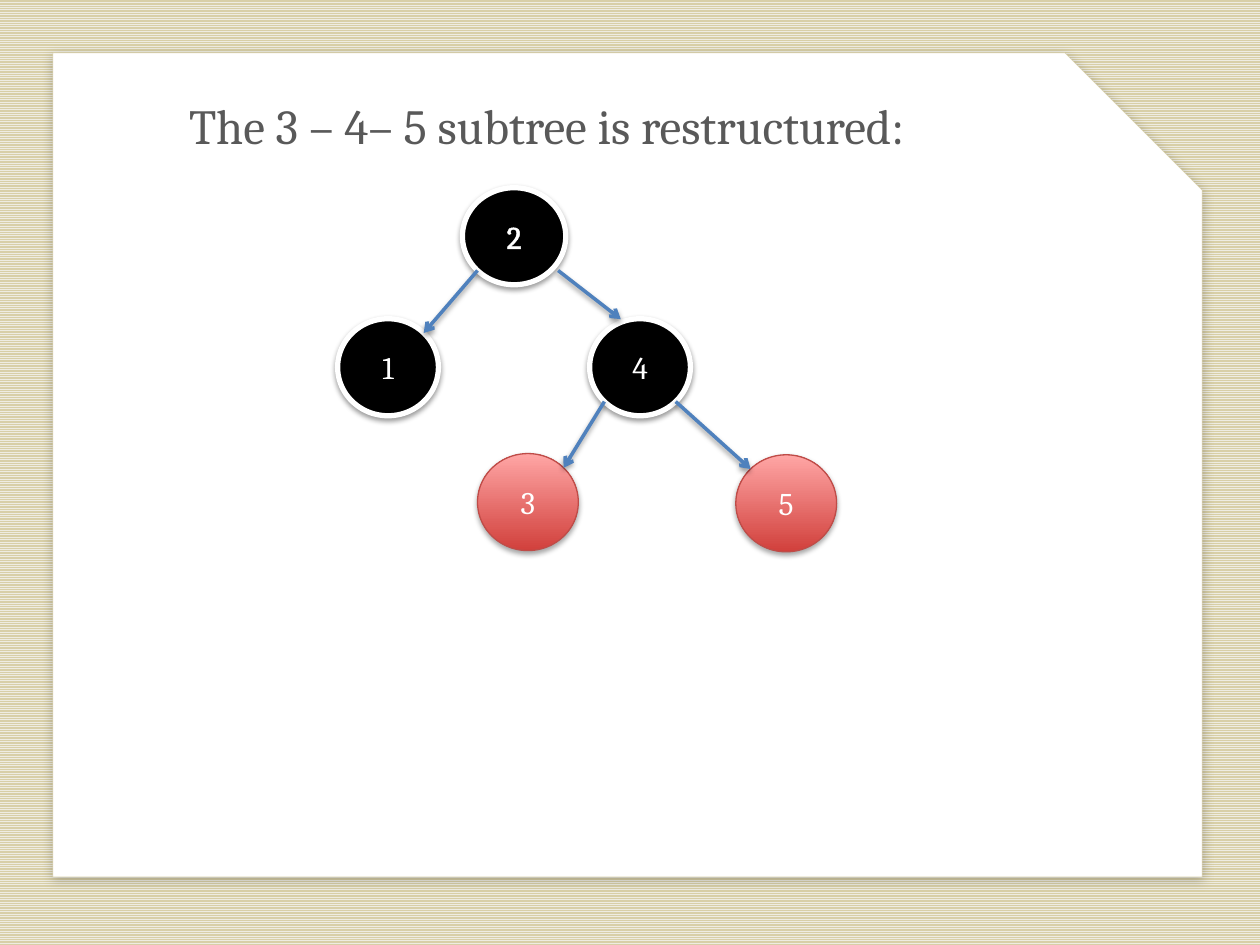
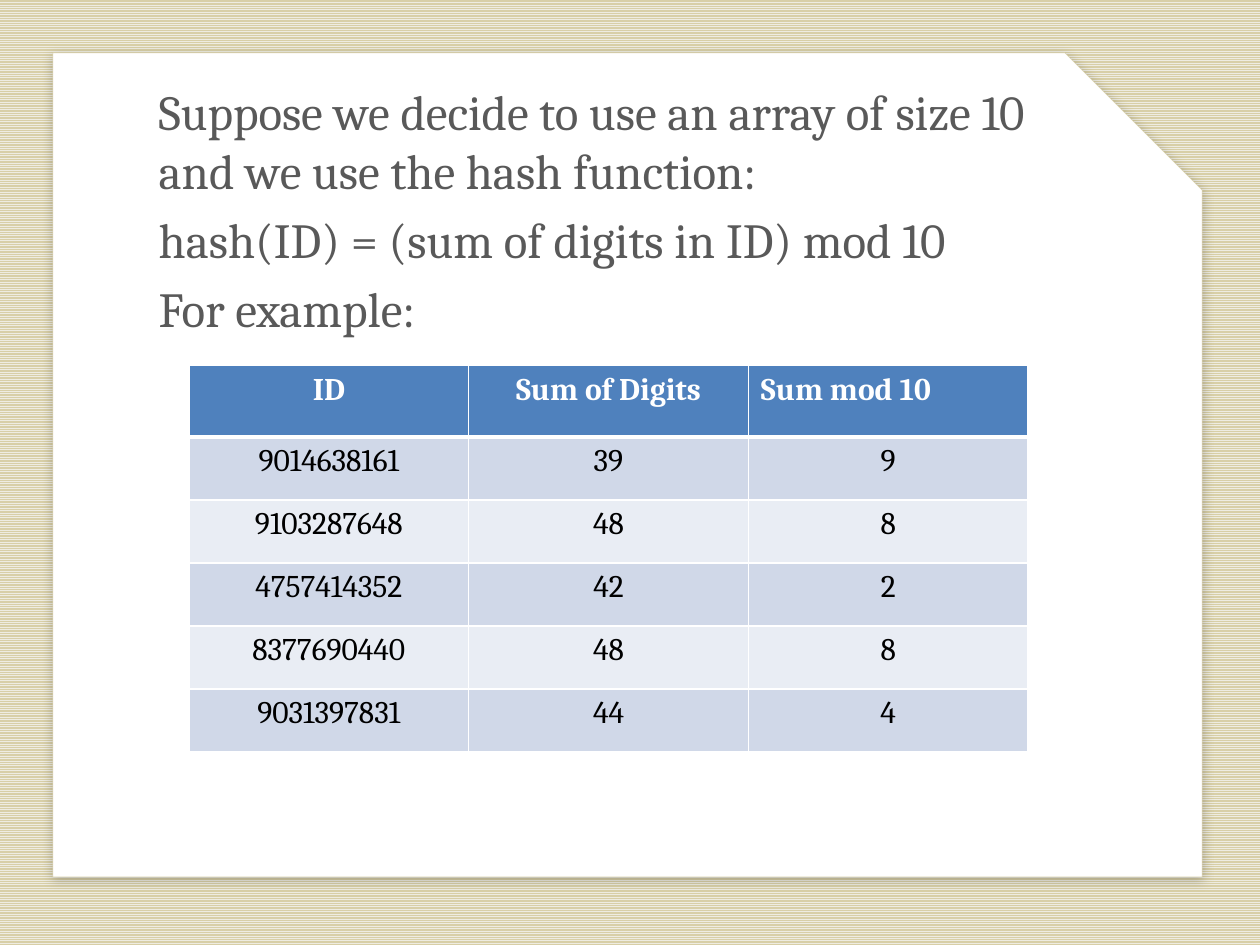
from lxml import etree
from pptx import Presentation
from pptx.dml.color import RGBColor
from pptx.enum.dml import MSO_PATTERN
from pptx.enum.shapes import MSO_CONNECTOR, MSO_SHAPE
from pptx.enum.text import MSO_ANCHOR, MSO_AUTO_SIZE, PP_ALIGN
from pptx.oxml import parse_xml
from pptx.oxml.ns import nsdecls, qn
from pptx.util import Inches, Pt

FONT = "Cambria"
COLORS = {
    "stripe": "EEECE1", "sand": "D8CFA7", "white": "FFFFFF", "black": "000000",
    "text": "595959", "blue": "4F81BD", "red_dark": "D1403C", "red_light": "FFA6A5",
    "red_line": "BF4C48", "band_dark": "D0D8E8", "band_light": "E9EDF4",
}
CARD = (0.42, 0.42, 9.12, 6.54)
CARD_SHADOW = (22, 6, 2, 80)
BLACK_SHADOW = (38, 3.1, 1.6, 90)
RED_SHADOW = (35, 3.1, 1.8, 90)

TREE_LEAD = ["The 3 – 4– 5 subtree is restructured:"]
NODES = {
    "1": (2.68, 2.53, 0.8, "black"),
    "2": (3.67, 1.49, 0.82, "black"),
    "4": (4.68, 2.53, 0.8, "black"),
    "5": (5.84, 3.61, 0.8, "red"),
    "3": (3.79, 3.6, 0.8, "red"),
}
NODE_HEIGHT = 0.77
OUTLINED_NODE = "2"
EDGES = [
    ("2", "1", -1, (0, 0), (0, 0)),
    ("2", "4", 1, (0.06, 0), (0.13, -0.11)),
    ("4", "5", 1, (0, 0), (0, 0)),
    ("4", "3", -1, (0, 0), (0, 0)),
]

HASH_LEAD = [
    "Suppose we decide to use an array of size 10 and we use the hash function:",
    "hash(ID) = (sum of digits in ID) mod 10",
    "For example:",
]
HASH_ROWS = [
    ("ID", "Sum of Digits", "Sum mod 10"),
    ("9014638161", "39", "9"),
    ("9103287648", "48", "8"),
    ("4757414352", "42", "2"),
    ("8377690440", "48", "8"),
    ("9031397831", "44", "4"),
]
TABLE_LEFT, TABLE_TOP, COLUMN_WIDTH = 1.5, 2.9, 2.22
HEADER_HEIGHT, ROW_HEIGHT = 0.57, 0.5


def rgb(name):
    return RGBColor.from_string(COLORS[name])


def inches(*values):
    return [Inches(value) for value in values]


def solid_line(tag, width, color):
    return parse_xml(
        f'<a:{tag} {nsdecls("a")} w="{Pt(width)}"><a:solidFill>'
        f'<a:srgbClr val="{COLORS[color]}"/></a:solidFill></a:{tag}>')


def set_font(paragraph, size, color, bold=None):
    paragraph.font.name = FONT
    paragraph.font.size = Pt(size)
    paragraph.font.color.rgb = rgb(color)
    paragraph.font.bold = bold


def set_line(shape, color, width):
    shape.line.color.rgb = rgb(color)
    shape.line.width = Pt(width)


def add_shadow(shape, opacity, blur, distance, angle):
    properties = shape._element.spPr
    for old in properties.findall(qn("a:effectLst")):
        properties.remove(old)
    properties.append(parse_xml(
        f'<a:effectLst {nsdecls("a")}><a:outerShdw blurRad="{Pt(blur)}" '
        f'dist="{Pt(distance)}" dir="{angle * 60000}" algn="ctr" rotWithShape="0">'
        f'<a:srgbClr val="{COLORS["black"]}"><a:alpha val="{opacity * 1000}"/>'
        '</a:srgbClr></a:outerShdw></a:effectLst>'))


def add_slide(presentation, lead, box):
    slide = presentation.slides.add_slide(presentation.slide_layouts[5])
    background = slide.background.fill
    background.patterned()
    background.pattern = MSO_PATTERN.NARROW_HORIZONTAL
    background.fore_color.rgb = rgb("stripe")
    background.back_color.rgb = rgb("sand")

    card = slide.shapes.add_shape(MSO_SHAPE.SNIP_1_RECTANGLE, *inches(*CARD))
    card.fill.solid()
    card.fill.fore_color.rgb = rgb("white")
    set_line(card, "sand", 0.25)
    add_shadow(card, *CARD_SHADOW)
    slide.shapes._spTree.insert(2, card._element)

    title = slide.shapes.title
    title.left, title.top, title.width, title.height = inches(*box)
    frame = title.text_frame
    frame.text = "\n".join(lead)
    frame.word_wrap = True
    frame.auto_size = MSO_AUTO_SIZE.NONE
    frame.vertical_anchor = MSO_ANCHOR.TOP
    frame.margin_left = frame.margin_right = frame.margin_top = frame.margin_bottom = 0
    for paragraph in frame.paragraphs:
        paragraph.alignment = PP_ALIGN.LEFT
        paragraph.space_before = Pt(5.6)
        set_font(paragraph, 28, "text")
    return slide


def add_node(slide, label):
    left, top, width, kind = NODES[label]
    node = slide.shapes.add_shape(
        MSO_SHAPE.OVAL, *inches(left, top, width, NODE_HEIGHT))
    if kind == "black":
        node.fill.solid()
        node.fill.fore_color.rgb = rgb("black")
        set_line(node, "white", 3)
        add_shadow(node, *BLACK_SHADOW)
    else:
        node.fill.gradient()
        node.fill.gradient_angle = 90
        for stop, color in zip(node.fill.gradient_stops, ("red_dark", "red_light")):
            stop.color.rgb = rgb(color)
        set_line(node, "red_line", 0.75)
        add_shadow(node, *RED_SHADOW)
    frame = node.text_frame
    frame.text = label
    frame.vertical_anchor = MSO_ANCHOR.MIDDLE
    paragraph = frame.paragraphs[0]
    paragraph.alignment = PP_ALIGN.CENTER
    set_font(paragraph, 18, "white")
    if label == OUTLINED_NODE:
        run_properties = paragraph.runs[0]._r.get_or_add_rPr()
        run_properties.insert(0, solid_line("ln", 1.45, "white"))


def diagonal_point(label, side, vertical, nudge):
    left, top, width, _ = NODES[label]
    reach = 0.5 ** 0.5 / 2
    return inches(left + width * (0.5 + side * reach) + nudge[0],
                  top + NODE_HEIGHT * (0.5 + vertical * reach) + nudge[1])


def add_edge(slide, parent, child, side, start_nudge, end_nudge):
    start = diagonal_point(parent, side, 1, start_nudge)
    end = diagonal_point(child, -side, -1, end_nudge)
    edge = slide.shapes.add_connector(MSO_CONNECTOR.STRAIGHT, *start, *end)
    set_line(edge, "blue", 2)
    etree.SubElement(edge.line._get_or_add_ln(), qn("a:tailEnd"), type="arrow")
    add_shadow(edge, *BLACK_SHADOW)


def add_hash_table(slide):
    row_count, column_count = len(HASH_ROWS), len(HASH_ROWS[0])
    height = HEADER_HEIGHT + ROW_HEIGHT * (row_count - 1)
    table = slide.shapes.add_table(
        row_count, column_count,
        *inches(TABLE_LEFT, TABLE_TOP, COLUMN_WIDTH * column_count, height)).table
    for column in table.columns:
        column.width = Inches(COLUMN_WIDTH)
    for row_index, values in enumerate(HASH_ROWS):
        header = row_index == 0
        table.rows[row_index].height = Inches(HEADER_HEIGHT if header else ROW_HEIGHT)
        band = "blue" if header else "band_dark" if row_index % 2 else "band_light"
        for column_index, value in enumerate(values):
            cell = table.cell(row_index, column_index)
            cell.text = value
            borders = {"lnL": 1, "lnR": 1, "lnT": 3 if row_index == 1 else 1,
                       "lnB": 3 if header else 1}
            for tag, width in borders.items():
                cell._tc.get_or_add_tcPr().append(solid_line(tag, width, "white"))
            cell.fill.solid()
            cell.fill.fore_color.rgb = rgb(band)
            paragraph = cell.text_frame.paragraphs[0]
            left_aligned = header and column_index == column_count - 1
            paragraph.alignment = PP_ALIGN.LEFT if left_aligned else PP_ALIGN.CENTER
            set_font(paragraph, 18, "white" if header else "black", header)


presentation = Presentation()
presentation.slide_width, presentation.slide_height = inches(10, 7.5)

tree_slide = add_slide(presentation, TREE_LEAD, (1.5, 0.76, 6.59, 5.15))
for label in NODES:
    add_node(tree_slide, label)
for edge in EDGES:
    add_edge(tree_slide, *edge)

hash_slide = add_slide(presentation, HASH_LEAD, (1.26, 0.65, 7, 5.26))
add_hash_table(hash_slide)

presentation.save("out.pptx")
